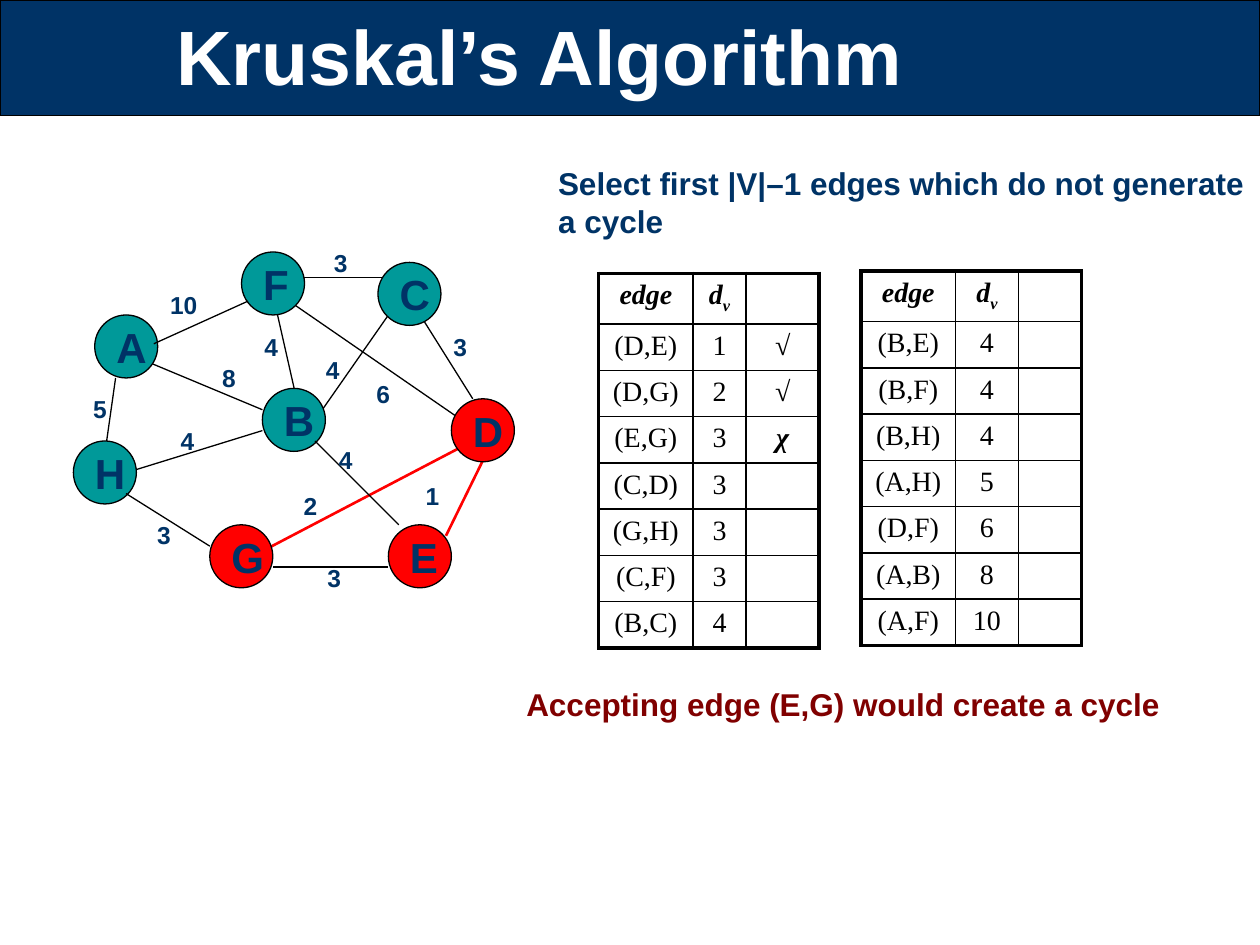
"""Build the Kruskal's Algorithm slide with its graph and sorted edge tables."""
from lxml.etree import SubElement
from pptx import Presentation
from pptx.dml.color import RGBColor
from pptx.enum.shapes import MSO_CONNECTOR, MSO_SHAPE
from pptx.enum.text import MSO_ANCHOR, MSO_AUTO_SIZE, PP_ALIGN
from pptx.oxml.ns import qn
from pptx.util import Cm, Pt

NAVY = RGBColor(0x00, 0x33, 0x66)
TEAL = RGBColor(0x00, 0x99, 0x99)
RED = RGBColor(0xFF, 0x00, 0x00)
MAROON = RGBColor(0x80, 0x00, 0x00)
BLACK = RGBColor(0x00, 0x00, 0x00)
WHITE = RGBColor(0xFF, 0xFF, 0xFF)


def write(frame, text, size, color):
    frame.text = text
    paragraph = frame.paragraphs[0]
    paragraph.alignment = PP_ALIGN.LEFT
    paragraph.font.name = "Arial"
    paragraph.font.size = Pt(size)
    paragraph.font.bold = True
    paragraph.font.color.rgb = color


def draw_edges(page, edges, color, width):
    for ends in edges:
        edge = page.shapes.add_connector(MSO_CONNECTOR.STRAIGHT, *map(Cm, ends))
        edge.line.color.rgb = color
        edge.line.width = Pt(width)
        SubElement(edge._element.spPr, qn("a:effectLst"))


deck = Presentation()
deck.slide_width, deck.slide_height = Cm(25.4), Cm(19.05)
page = deck.slides.add_slide(deck.slide_layouts[5])

title = page.shapes.title
title.left, title.top, title.width, title.height = Cm(3.3), Cm(-0.48), Cm(21.59), Cm(3.18)
write(title.text_frame, "Kruskal’s Algorithm", 44, WHITE)
title.text_frame.vertical_anchor = MSO_ANCHOR.MIDDLE
title.text_frame.auto_size = MSO_AUTO_SIZE.NONE

banner = page.shapes.add_shape(MSO_SHAPE.RECTANGLE, 0, 0, deck.slide_width, Cm(2.33))
banner.shadow.inherit = False
banner.fill.solid()
banner.fill.fore_color.rgb = NAVY
banner.line.color.rgb = BLACK
banner.line.width = Pt(0.75)
title.element.addprevious(banner.element)

edges_below_nodes = [
    (5.5, 5.93, 5.93, 7.83),
    (6.35, 8.47, 7.83, 6.35),
    (9.31, 8.47, 5.93, 6.14),
    (2.54, 9.53, 5.29, 8.68),
    (2.12, 9.1, 2.33, 7.62),
    (2.75, 7.2, 5.29, 8.26),
    (6.05, 5.59, 7.75, 5.59),
    (8.47, 6.35, 9.53, 8.04),
]
accepted_edges = [(10.03, 8.68, 8.99, 10.8), (5.08, 11.22, 9.53, 8.89)]
edges_above_nodes = [
    (6.35, 8.89, 8.04, 10.58),
    (7.83, 11.43, 5.5, 11.43),
    (4.23, 11.01, 2.54, 9.95),
    (3.1, 6.93, 5, 6.07),
]
nodes = [
    ("A", 1.91, 6.35, TEAL),
    ("H", 1.48, 8.89, TEAL),
    ("B", 5.29, 7.83, TEAL),
    ("F", 4.87, 5.08, TEAL),
    ("E", 7.83, 10.58, RED),
    ("D", 9.1, 8.04, RED),
    ("C", 7.62, 5.29, TEAL),
    ("G", 4.23, 10.58, RED),
]

draw_edges(page, edges_below_nodes, BLACK, 0.75)
draw_edges(page, accepted_edges, RED, 1.5)
for name, left, top, color in nodes:
    node = page.shapes.add_shape(MSO_SHAPE.OVAL, Cm(left), Cm(top), Cm(1.27), Cm(1.27))
    node.shadow.inherit = False
    node.fill.solid()
    node.fill.fore_color.rgb = color
    node.line.color.rgb = BLACK
    node.line.width = Pt(0.75)
    write(node.text_frame, name, 24, NAVY)
    node.text_frame.word_wrap = False
    node.text_frame.vertical_anchor = MSO_ANCHOR.MIDDLE
draw_edges(page, edges_above_nodes, BLACK, 0.75)

weights = [
    ("5", 1.63, 7.82),
    ("1", 8.33, 9.58),
    ("3", 6.35, 11.22),
    ("2", 5.87, 9.78),
    ("4", 6.58, 8.84),
    ("6", 7.34, 7.52),
    ("3", 8.89, 6.56),
    ("4", 6.32, 7.04),
    ("3", 6.48, 4.88),
    ("4", 5.08, 6.56),
    ("8", 4.23, 7.2),
    ("4", 3.39, 8.47),
    ("3", 2.92, 10.35),
    ("10", 3.18, 5.72),
]
captions = [(text, left, top, 0.84 if len(text) == 1 else 1.32, 0.84, 14, NAVY)
            for text, left, top in weights]
captions += [
    ("Accepting edge (E,G) would create a cycle", 10.36, 13.69, 14.33, 1.02, 18, MAROON),
    ("Select first |V|–1 edges which do not generate a cycle", 11, 3.18, 14.4, 1.8, 18, NAVY),
]
for text, left, top, width, height, size, color in captions:
    box = page.shapes.add_textbox(Cm(left), Cm(top), Cm(width), Cm(height))
    box.text_frame.word_wrap = True
    write(box.text_frame, text, size, color)

header = ("edge", "d", "")
edge_tables = [
    (12.07, 5.51, (1.9, 1.07, 1.47), [
        header, ("(D,E)", "1", "√"), ("(D,G)", "2", "√"), ("(E,G)", "3", "χ"),
        ("(C,D)", "3", ""), ("(G,H)", "3", ""), ("(C,F)", "3", ""), ("(B,C)", "4", ""),
    ]),
    (17.36, 5.46, (1.9, 1.27, 1.27), [
        header, ("(B,E)", "4", ""), ("(B,F)", "4", ""), ("(B,H)", "4", ""),
        ("(A,H)", "5", ""), ("(D,F)", "6", ""), ("(A,B)", "8", ""), ("(A,F)", "10", ""),
    ]),
]
for left, top, widths, rows in edge_tables:
    last_row, last_column = len(rows) - 1, len(widths) - 1
    table = page.shapes.add_table(len(rows), len(widths), Cm(left), Cm(top),
                                  Cm(sum(widths)), Cm(0.93 * len(rows))).table
    table.first_row = table.horz_banding = False
    for column, width in zip(table.columns, widths):
        column.width = Cm(width)
    for row_index, row in enumerate(rows):
        for column_index, text in enumerate(row):
            cell = table.cell(row_index, column_index)
            cell.text = text
            paragraph = cell.text_frame.paragraphs[0]
            paragraph.alignment = PP_ALIGN.CENTER
            if text == "d":
                span = paragraph.add_run()
                span.text = "v"
                span._r.get_or_add_rPr().set("baseline", "-25000")
            paragraph.font.name = "Times New Roman"
            paragraph.font.size = Pt(16)
            paragraph.font.bold = paragraph.font.italic = row_index == 0 or column_index == 2
            paragraph.font.color.rgb = BLACK
            outer_sides = {
                "a:lnL": column_index == 0,
                "a:lnR": column_index == last_column,
                "a:lnT": row_index == 0,
                "a:lnB": row_index == last_row,
            }
            for side, is_outer in outer_sides.items():
                border = SubElement(cell._tc.get_or_add_tcPr(), qn(side),
                                    w=str(Pt(2.25 if is_outer else 1)))
                SubElement(SubElement(border, qn("a:solidFill")), qn("a:srgbClr"), val=str(BLACK))
            cell.fill.background()

deck.save("out.pptx")
